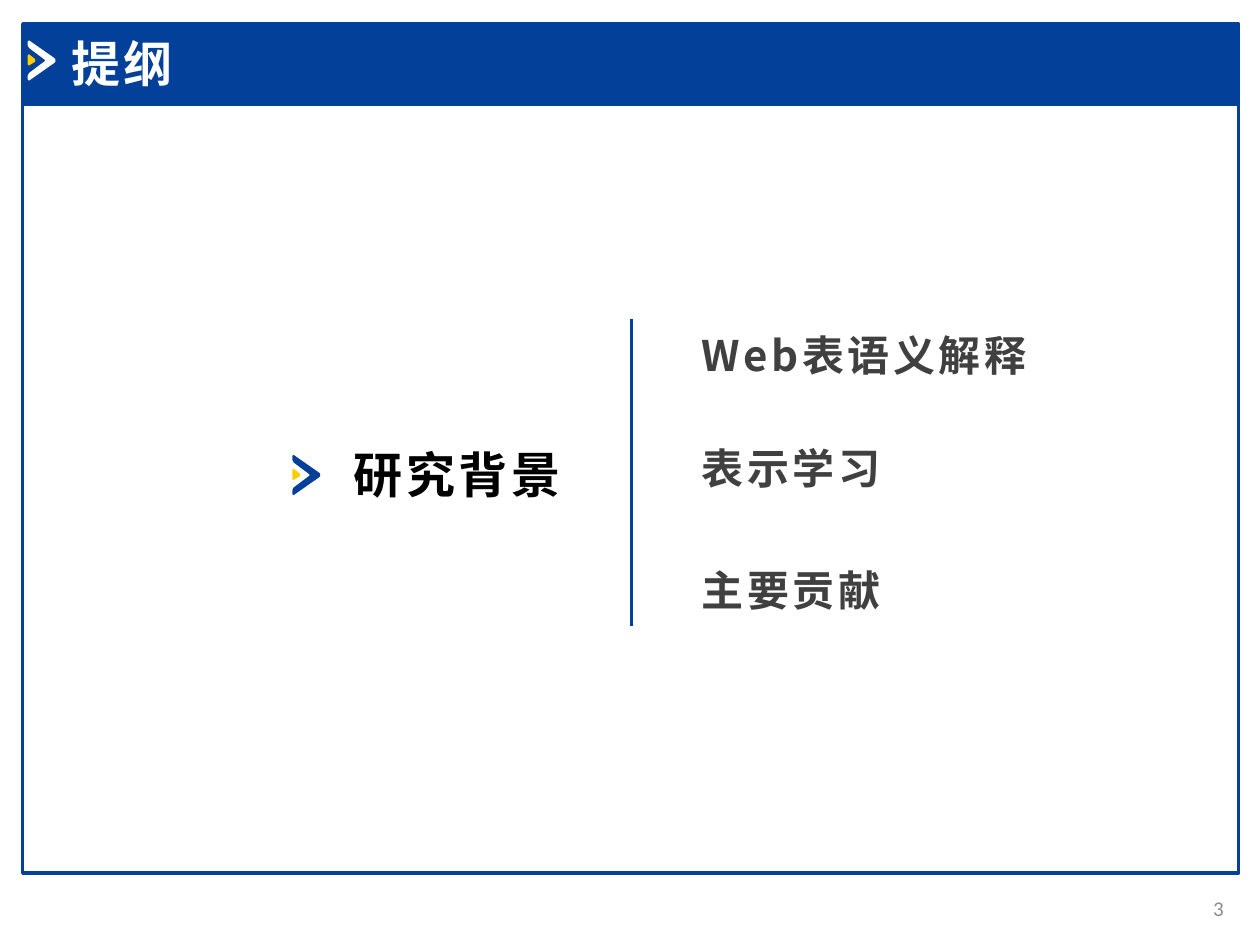
from dataclasses import dataclass

from lxml import etree
from pptx import Presentation
from pptx import util as u
from pptx.dml.color import RGBColor
from pptx.enum import shapes, text
from pptx.oxml import ns

PX = 9144
ARROW = [(0, 1), (1, 0), (21, 14), (22, 15), (22, 17), (21, 18), (1, 32), (0, 31),
         (0, 28), (1, 26), (13, 17), (14, 16), (13, 15), (1, 6), (0, 4)]
CORE = [(0, 12), (1, 11), (6, 15), (6, 17), (1, 20), (0, 19)]


@dataclass(frozen=True)
class Theme:
    """Colours, fonts and type sizes of the slide."""
    blue: str = "02409A"
    gold: str = "FFCC00"
    white: str = "FFFFFF"
    black: str = "000000"
    dark: str = "404040"
    grey: str = "8C8C8C"
    latin: str = "Calibri"
    han: str = "Noto Sans CJK SC"
    head: int = 28
    item: int = 24
    foot: int = 12


T = Theme()


def emu(*px):
    """Turn px lengths into EMU."""
    return [u.Emu(n * PX) for n in px]


def paint(part, tone):
    """Fill a shape with one colour, without line or shadow."""
    part.shadow.inherit = False
    part.fill.solid()
    part.fill.fore_color.rgb = RGBColor.from_string(tone)
    part.line.fill.background()


def panel(slide, box, tone=None):
    """Draw a blue-edged rectangle, filled if a colour is given."""
    part = slide.shapes.add_shape(shapes.MSO_SHAPE.RECTANGLE, *emu(*box))
    paint(part, tone or T.white)
    if not tone:
        part.fill.background()
    part.line.color.rgb = RGBColor.from_string(T.blue)
    part.line.width = u.Pt(2)


def label(slide, box, words, size, tone, face=T.han, bold=True, gap=2):
    """Add a one-line text box and return its frame."""
    frame = slide.shapes.add_textbox(*emu(*box)).text_frame
    frame.word_wrap = True
    para = frame.paragraphs[0]
    para.text = words
    font = para.font
    font.name, font.size, font.bold = face, u.Pt(size), bold
    font.color.rgb = RGBColor.from_string(tone)
    props = para._p.pPr.find(ns.qn("a:defRPr"))
    props.set("spc", str(gap * 100))
    etree.SubElement(props, ns.qn("a:ea"), typeface=T.han)
    return frame


def marker(slide, left, top, tone):
    """Draw a chevron with its gold core."""
    for pts, fill in ((ARROW, tone), (CORE, T.gold)):
        spots = [(left + x, top + y) for x, y in pts]
        pen = slide.shapes.build_freeform(*spots[0], scale=PX)
        pen.add_line_segments(spots[1:], close=True)
        paint(pen.convert_to_shape(), fill)


def header(slide, left, top, wide, high):
    """Draw the title bar with its marker."""
    panel(slide, (left, top, wide, high), T.blue)
    marker(slide, left + 4, top + 13, T.white)
    label(slide, (left + 29, top + 3, 356, 57), "提纲", T.head, T.white, T.latin)


def outline(slide, left, top, high):
    """Place the topic, the divider and the list of points."""
    marker(slide, left, top + 108, T.blue)
    label(slide, (left + 39, top + 95, 215, 57), "研究背景", T.head, T.black)
    mid = left + 269
    rule = slide.shapes.add_connector(
        shapes.MSO_CONNECTOR.STRAIGHT, *emu(mid, top, mid, top + high))
    rule.line.color.rgb = RGBColor.from_string(T.blue)
    rule.line.width = u.Pt(1.5)
    etree.SubElement(rule._element.spPr, ns.qn("a:effectLst"))
    for words, drop in (("Web表语义解释", 4), ("表示学习", 93), ("主要贡献", 190)):
        label(slide, (mid + 46, top + drop, 325, 50), words, T.item, T.dark)


def footer(slide, box):
    """Place the page number."""
    frame = label(slide, box, "3", T.foot, T.grey, T.latin, bold=False, gap=0)
    frame.vertical_anchor = text.MSO_ANCHOR.MIDDLE
    frame.paragraphs[0].alignment = text.PP_ALIGN.RIGHT


def main():
    """Build and save the slide."""
    deck = Presentation()
    deck.slide_width, deck.slide_height = emu(1000, 750)
    slide = deck.slides.add_slide(deck.slide_layouts[6])
    panel(slide, (18, 83, 965, 610))
    header(slide, 18, 19, 965, 64)
    outline(slide, 232, 253, 244)
    footer(slide, (922, 701, 59, 40))
    deck.save("out.pptx")


if __name__ == "__main__":
    main()
